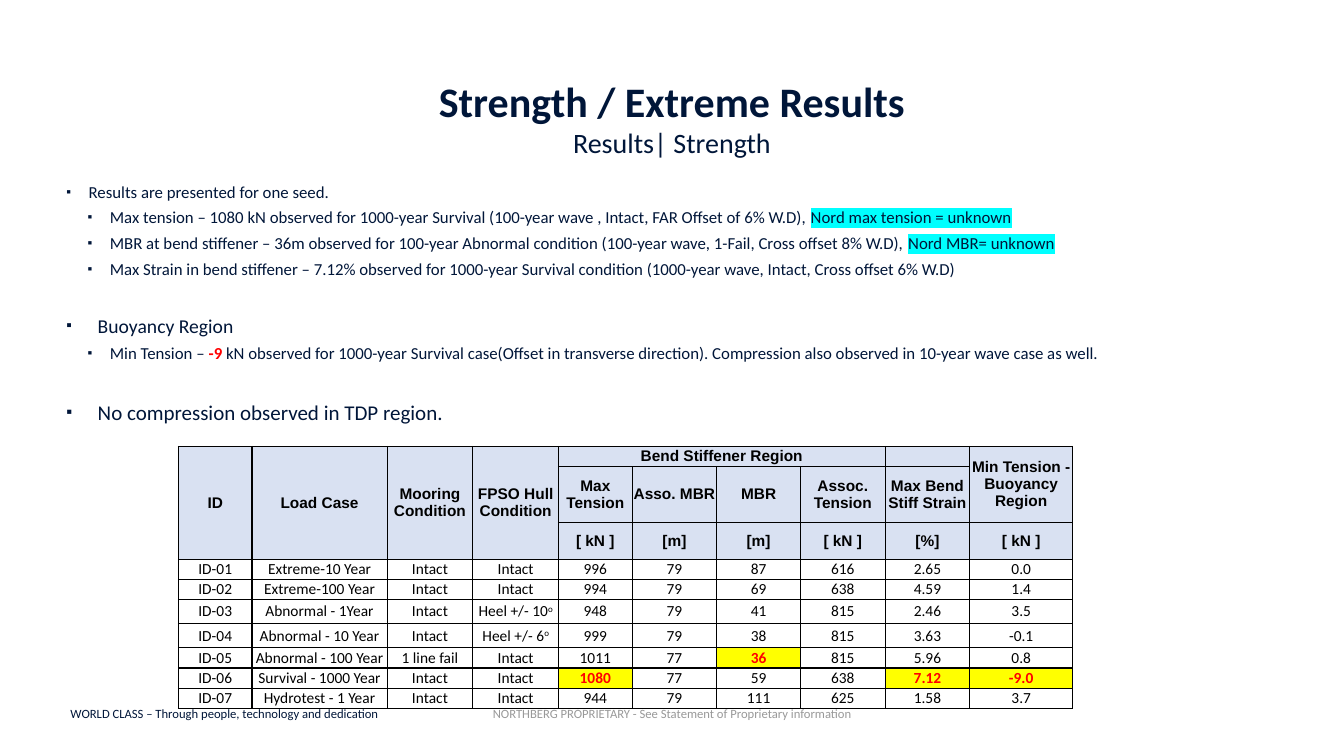
import pptx
import pptx.util
import pptx.dml.color
import pptx.enum.text
import pptx.oxml.ns
import lxml.etree

NAVY, GREY, BLACK, RED = "001639", "999999", "000000", "FF0000"
HEADER_FILL, ALERT_FILL, CYAN = "D9E1F2", "FFFF00", "00FFFF"
BORDER_SIDES = ("lnL", "lnR", "lnT", "lnB")

# Text boxes: text, (left, top, width, height), format
LABELS = [
    ("NORTHBERG PROPRIETARY - See Statement of Proprietary information",
     (4.25, 6.95, 4.83, 0.25), dict(size=9, color=GREY, align="CENTER")),
    ("WORLD CLASS – Through people, technology and dedication",
     (0.6, 6.95, 3.39, 0.25), dict(size=9, color=NAVY)),
    ("Strength / Extreme Results",
     (2.23, 0.76, 8.87, 0.56), dict(size=30, color=NAVY, bold=True, align="CENTER", spacing=0.9)),
    ("Results| Strength",
     (2.23, 1.2, 8.87, 0.45), dict(size=20, color=NAVY, align="CENTER")),
]

# Bullets: level, text indent, hanging, size, space before, runs of (text, format)
BULLET_BOX = (0.66, 1.8, 11.4, 2.5)
BULLETS = [
    (1, 0.22, 0.22, 12, 0, [("Results are presented for one seed.", {})]),
    (2, 0.43, 0.22, 12, 0, [("Max tension – 1080 kN observed for 1000-year Survival "
                             "(100-year wave , Intact, FAR Offset of 6% W.D), ", {}),
                            ("Nord max tension = unknown", dict(highlight=CYAN))]),
    (2, 0.43, 0.22, 12, 0, [("MBR at bend stiffener – 36m observed for 100-year Abnormal condition "
                             "(100-year wave, 1-Fail, Cross offset 8% W.D), ", {}),
                            ("Nord MBR= unknown", dict(highlight=CYAN))]),
    (2, 0.43, 0.22, 12, 0, [("Max Strain in bend stiffener – 7.12% observed for 1000-year Survival "
                             "condition (1000-year wave, Intact, Cross offset 6% W.D)", {})]),
    (1, 0.31, 0.31, 14, 21, [("Buoyancy Region", {})]),
    (2, 0.43, 0.22, 12, 0, [("Min Tension – ", {}), ("-9", dict(color=RED, bold=True)),
                            (" kN observed for 1000-year Survival case(Offset in transverse "
                             "direction). Compression also observed in 10-year wave case as well.", {})]),
    (1, 0.31, 0.31, 15, 22, [("No compression observed in TDP region.", {})]),
]

# Results table: "^" starts a superscript, "*" marks a governing value
TABLE_ORIGIN = (1.77, 4.43)
COLUMN_WIDTHS = [0.73, 1.34, 0.85, 0.85, 0.73, 0.84, 0.83, 0.84, 0.84, 1.02]
ROW_HEIGHTS = [0.2, 0.51, 0.34, 0.2, 0.2, 0.24, 0.24, 0.2, 0.2, 0.2]
HEADER_ROWS = 3
MERGES = [((0, column), (2, column)) for column in range(4)] + [((0, 4), (0, 7)), ((0, 9), (1, 9))]
ROWS = [
    ["ID", "Load Case", "Mooring Condition", "FPSO Hull Condition", "Bend Stiffener Region",
     "", "", "", "", "Min Tension - Buoyancy Region"],
    ["", "", "", "", "Max Tension", "Asso. MBR", "MBR", "Assoc. Tension", "Max Bend Stiff Strain", ""],
    ["", "", "", "", "[ kN ]", "[m]", "[m]", "[ kN ]", "[%]", "[ kN ]"],
    ["ID-01", "Extreme-10 Year", "Intact", "Intact", "996", "79", "87", "616", "2.65", "0.0"],
    ["ID-02", "Extreme-100 Year", "Intact", "Intact", "994", "79", "69", "638", "4.59", "1.4"],
    ["ID-03", "Abnormal - 1Year", "Intact", "Heel +/- 10^o", "948", "79", "41", "815", "2.46", "3.5"],
    ["ID-04", "Abnormal - 10 Year", "Intact", "Heel +/- 6^o", "999", "79", "38", "815", "3.63", "-0.1"],
    ["ID-05", "Abnormal - 100 Year", "1 line fail", "Intact", "1011", "77", "*36", "815", "5.96", "0.8"],
    ["ID-06", "Survival - 1000 Year", "Intact", "Intact", "*1080", "77", "59", "638", "*7.12", "*-9.0"],
    ["ID-07", "Hydrotest - 1 Year", "Intact", "Intact", "944", "79", "111", "625", "1.58", "3.7"],
]


def rgb(value):
    return pptx.dml.color.RGBColor.from_string(value)


def inches(values):
    return [pptx.util.Inches(value) for value in values]


def element(parent, tag, **attributes):
    return lxml.etree.SubElement(parent, pptx.oxml.ns.qn(tag), attributes)


def add_text(paragraph, text, size=12, color=NAVY, bold=False, font="Calibri",
             align=None, spacing=None, highlight=None, superscript=False):
    if align:
        paragraph.alignment = pptx.enum.text.PP_ALIGN[align]
    if spacing:
        paragraph.line_spacing = spacing
    run = paragraph.add_run()
    run.text = text
    run.font.size = pptx.util.Pt(size)
    run.font.bold = bold
    run.font.color.rgb = rgb(color)
    run.font.name = font
    properties = run.font._element
    if superscript:
        properties.set("baseline", "30000")
    if highlight:
        mark = element(properties, "a:highlight")
        element(mark, "a:srgbClr", val=highlight)
        properties.find(pptx.oxml.ns.qn("a:solidFill")).addnext(mark)


def add_box(slide, place, margin=None):
    frame = slide.shapes.add_textbox(*inches(place)).text_frame
    frame.word_wrap = True
    if margin is not None:
        frame.margin_left = frame.margin_right = frame.margin_top = frame.margin_bottom = margin
    return frame


def add_bullets(slide):
    frame = add_box(slide, BULLET_BOX, margin=0)
    for index, (level, indent, hanging, size, before, runs) in enumerate(BULLETS):
        paragraph = frame.add_paragraph() if index else frame.paragraphs[0]
        paragraph.level = level
        properties = paragraph._p.get_or_add_pPr()
        properties.set("marL", str(pptx.util.Inches(indent)))
        properties.set("indent", str(-pptx.util.Inches(hanging)))
        if before:
            paragraph.space_before = pptx.util.Pt(before)
        paragraph.space_after = pptx.util.Pt(4)
        element(properties, "a:buSzPct", val="80000")
        element(properties, "a:buFont", typeface="Arial")
        element(properties, "a:buChar", char="▪")
        for text, style in runs:
            add_text(paragraph, text, **{"size": size, **style})


def fill_cell(cell, text, header):
    alert = text.startswith("*")
    cell.margin_left = cell.margin_right = cell.margin_top = cell.margin_bottom = 0
    cell.vertical_anchor = pptx.enum.text.MSO_ANCHOR.MIDDLE
    # Borders go before the fill
    properties = cell._tc.get_or_add_tcPr()
    for side in BORDER_SIDES:
        line = element(properties, "a:" + side, w=str(pptx.util.Pt(1)))
        element(element(line, "a:solidFill"), "a:srgbClr", val=BLACK)
    if header or alert:
        cell.fill.solid()
        cell.fill.fore_color.rgb = rgb(HEADER_FILL if header else ALERT_FILL)
    else:
        cell.fill.background()
    paragraph = cell.text_frame.paragraphs[0]
    if not text:
        # Small type keeps empty cells from stretching their row
        element(paragraph._p, "a:endParaRPr", sz="1100")
        return
    for index, part in enumerate(text.lstrip("*").split("^")):
        add_text(paragraph, part, size=11, color=RED if alert else BLACK, bold=header or alert,
                 font="Arial" if header else "Calibri", align="CENTER", superscript=index > 0)


def add_results_table(slide):
    place = (*TABLE_ORIGIN, sum(COLUMN_WIDTHS), sum(ROW_HEIGHTS))
    table = slide.shapes.add_table(len(ROWS), len(COLUMN_WIDTHS), *inches(place)).table
    table.first_row = table.horz_banding = False
    for column, width in zip(table.columns, inches(COLUMN_WIDTHS)):
        column.width = width
    for row, height in zip(table.rows, inches(ROW_HEIGHTS)):
        row.height = height
    for first, last in MERGES:
        table.cell(*first).merge(table.cell(*last))
    for row_index, texts in enumerate(ROWS):
        for column_index, text in enumerate(texts):
            fill_cell(table.cell(row_index, column_index), text, row_index < HEADER_ROWS)


def main():
    presentation = pptx.Presentation()
    presentation.slide_width, presentation.slide_height = inches((13.33, 7.5))
    slide = presentation.slides.add_slide(presentation.slide_layouts[6])
    for text, place, style in LABELS:
        add_text(add_box(slide, place).paragraphs[0], text, **style)
    add_bullets(slide)
    add_results_table(slide)
    presentation.save("out.pptx")


if __name__ == "__main__":
    main()
